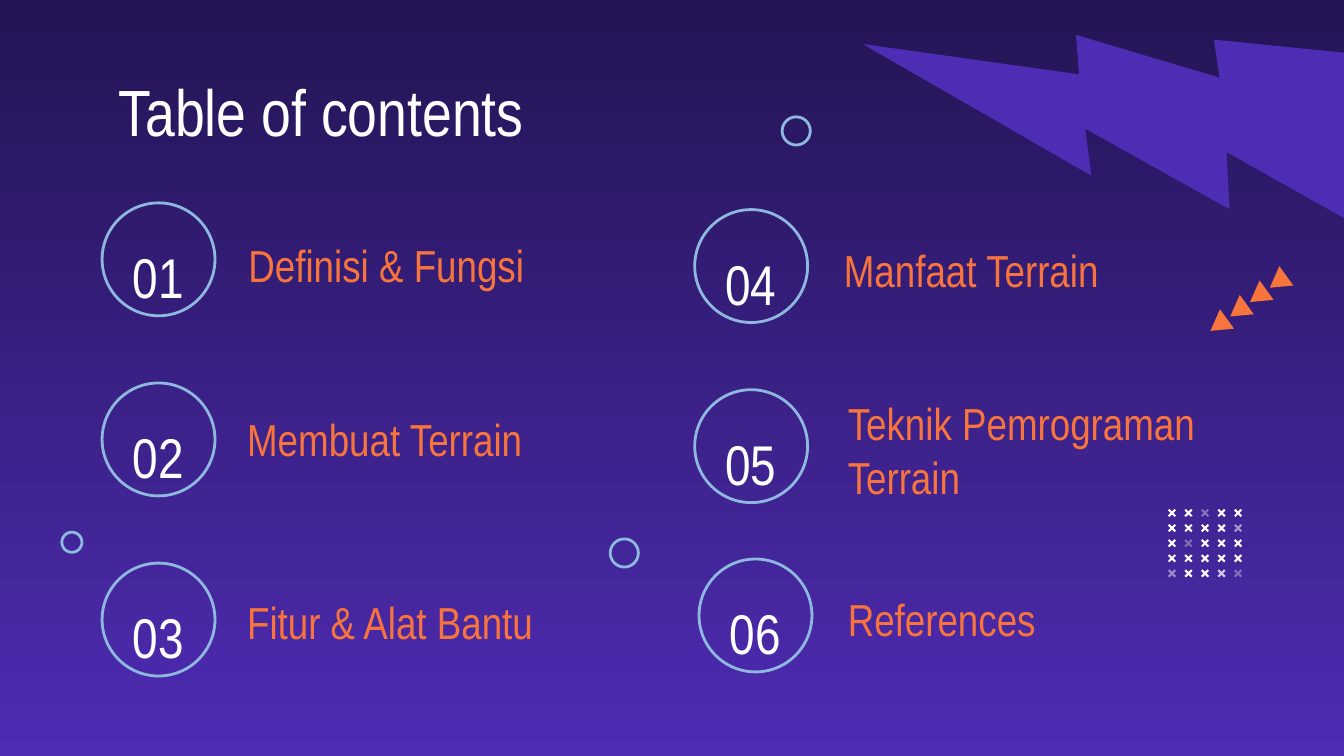
import lxml.etree
import pptx
import pptx.dml.color
import pptx.enum.shapes
import pptx.enum.text
import pptx.oxml.ns
import pptx.util

Pt = pptx.util.Pt
RGBColor = pptx.dml.color.RGBColor
MSO_SHAPE = pptx.enum.shapes.MSO_SHAPE
PP_ALIGN = pptx.enum.text.PP_ALIGN
MSO_ANCHOR = pptx.enum.text.MSO_ANCHOR

NIGHT = RGBColor(0x24, 0x14, 0x54)
VIOLET = RGBColor(0x4E, 0x2C, 0xB3)
ORANGE = RGBColor(0xF7, 0x74, 0x3C)
SKY = RGBColor(0x8E, 0xB8, 0xDE)
WHITE = RGBColor(0xFF, 0xFF, 0xFF)

FONT = "Arial Narrow"
CIRCLE = 60.5
ROW_PITCH = 96.5
LEFT_X, LEFT_Y = 54.7, 108.7
RIGHT_X, RIGHT_Y = 372.2, 112.3

ENTRIES = [
    ("01", LEFT_X, LEFT_Y, "Definisi & Fungsi", (126, 128.2, 234, 26.6)),
    ("02", LEFT_X, LEFT_Y + ROW_PITCH, "Membuat Terrain", (125.3, 221.8, 226, 26.6)),
    ("03", LEFT_X, LEFT_Y + 2 * ROW_PITCH, "Fitur & Alat Bantu", (125.3, 319.7, 212, 26.6)),
    ("04", RIGHT_X, RIGHT_Y, "Manfaat Terrain", (445, 131, 204.5, 26.6)),
    ("05", RIGHT_X, RIGHT_Y + ROW_PITCH, "Teknik Pemrograman Terrain", (447.1, 214.6, 260, 52.6)),
    ("06", 374.5, 299.5, "References", (447.1, 318.2, 204.5, 26.6)),
]
RINGS = [(33.1, 285.1, 10.8), (419, 62.6, 15.1), (326.9, 288.7, 15.1)]
CROSS_OPACITY = {(0, 2): 36, (1, 4): 53, (2, 1): 34, (4, 0): 48, (4, 3): 75, (4, 4): 33}


def place(shape, box):
    """Move a shape to a box given in points."""
    shape.left, shape.top, shape.width, shape.height = (Pt(length) for length in box)


def write_text(shape, text, size, color, align=PP_ALIGN.LEFT, anchor=MSO_ANCHOR.MIDDLE, spacing=1.0):
    """Write one formatted paragraph into a shape."""
    frame = shape.text_frame
    frame.word_wrap = True
    frame.auto_size = pptx.enum.text.MSO_AUTO_SIZE.NONE
    frame.vertical_anchor = anchor
    frame.margin_left = frame.margin_right = frame.margin_top = frame.margin_bottom = Pt(7.2)
    paragraph = frame.paragraphs[0]
    paragraph.alignment = align
    paragraph.line_spacing = spacing
    run = paragraph.add_run()
    run.text = text
    run.font.name = FONT
    run.font.size = Pt(size)
    run.font.color.rgb = color


def add_text(slide, box, text, **text_format):
    """Add a text box with one formatted paragraph."""
    shape = slide.shapes.add_textbox(*(Pt(length) for length in box))
    write_text(shape, text, **text_format)


def add_solid(slide, kind, box, color, rotation=0, opacity=100):
    """Add a filled shape without outline."""
    shape = slide.shapes.add_shape(kind, *(Pt(length) for length in box))
    shape.shadow.inherit = False
    shape.rotation = rotation
    shape.fill.solid()
    shape.fill.fore_color.rgb = color
    shape.line.fill.background()
    if opacity < 100:
        color_element = next(shape._element.spPr.iter(pptx.oxml.ns.qn("a:srgbClr")))
        alpha = lxml.etree.SubElement(color_element, pptx.oxml.ns.qn("a:alpha"))
        alpha.set("val", str(opacity * 1000))
    return shape


def add_ring(slide, left, top, diameter):
    """Add an unfilled circle."""
    shape = slide.shapes.add_shape(MSO_SHAPE.OVAL, Pt(left), Pt(top), Pt(diameter), Pt(diameter))
    shape.shadow.inherit = False
    shape.fill.background()
    shape.line.color.rgb = SKY
    shape.line.width = Pt(1.5)


def add_background(slide):
    """Shade the slide from dark at the top to violet at the bottom."""
    fill = slide.background.fill
    fill.gradient()
    fill.gradient_angle = 270
    for stop, color, position in zip(fill.gradient_stops, (NIGHT, VIOLET), (0, 1)):
        stop.color.rgb = color
        stop.position = position


def add_bolt(slide, box):
    """Add the mirrored lightning bolt."""
    shape = add_solid(slide, MSO_SHAPE.LIGHTNING_BOLT, box, VIOLET, rotation=59.9)
    shape._element.spPr.find(pptx.oxml.ns.qn("a:xfrm")).set("flipH", "1")


def add_entry(slide, number, left, top, label, label_box):
    """Add a ringed number with its label."""
    add_ring(slide, left, top, CIRCLE)
    number_box = (left - 2, top - 4.3, CIRCLE + 3.6, CIRCLE + 8.6)
    add_text(slide, number_box, number, size=30, color=WHITE, align=PP_ALIGN.CENTER, spacing=1.5)
    add_text(slide, label_box, label, size=24, color=ORANGE)


def add_cross_grid(slide, box, count=5, size=5):
    """Add a square grid of small crosses filling a box."""
    left, top, width, height = box
    step_x, step_y = (width - size) / (count - 1), (height - size) / (count - 1)
    for row in range(count):
        for column in range(count):
            cross_box = (left + column * step_x, top + row * step_y, size, size)
            opacity = CROSS_OPACITY.get((row, column), 100)
            shape = add_solid(slide, MSO_SHAPE.CROSS, cross_box, WHITE, 315, opacity)
            shape.adjustments[0] = 0.39


def add_triangle_row(slide, box, count=4, width=12.8, height=10.9):
    """Add triangles climbing from the lower left to the upper right of a box."""
    left, top, row_width, row_height = box
    step_x, step_y = (row_width - width) / (count - 1), (row_height - height) / (count - 1)
    for index in range(count):
        triangle_box = (left + row_width - width - index * step_x, top + index * step_y, width, height)
        add_solid(slide, MSO_SHAPE.ISOSCELES_TRIANGLE, triangle_box, ORANGE, 234.2)


def add_contents_slide(presentation):
    """Add the table of contents slide."""
    slide = presentation.slides.add_slide(presentation.slide_layouts[5])
    add_background(slide)
    add_bolt(slide, (504, -49, 228.2, 228.2))
    title = slide.shapes.title
    place(title, (56.2, 31, 607, 46))
    write_text(title, "Table of contents", size=35, color=WHITE, anchor=MSO_ANCHOR.TOP)
    for entry in ENTRIES:
        add_entry(slide, *entry)
    add_cross_grid(slide, (625.4, 272.3, 40.4, 37.4))
    for ring in RINGS:
        add_ring(slide, *ring)
    add_triangle_row(slide, (646.5, 145.5, 44.6, 34))


def main():
    """Build and save the presentation."""
    presentation = pptx.Presentation()
    presentation.slide_width, presentation.slide_height = Pt(720), Pt(405)
    add_contents_slide(presentation)
    presentation.save("out.pptx")


if __name__ == "__main__":
    main()
